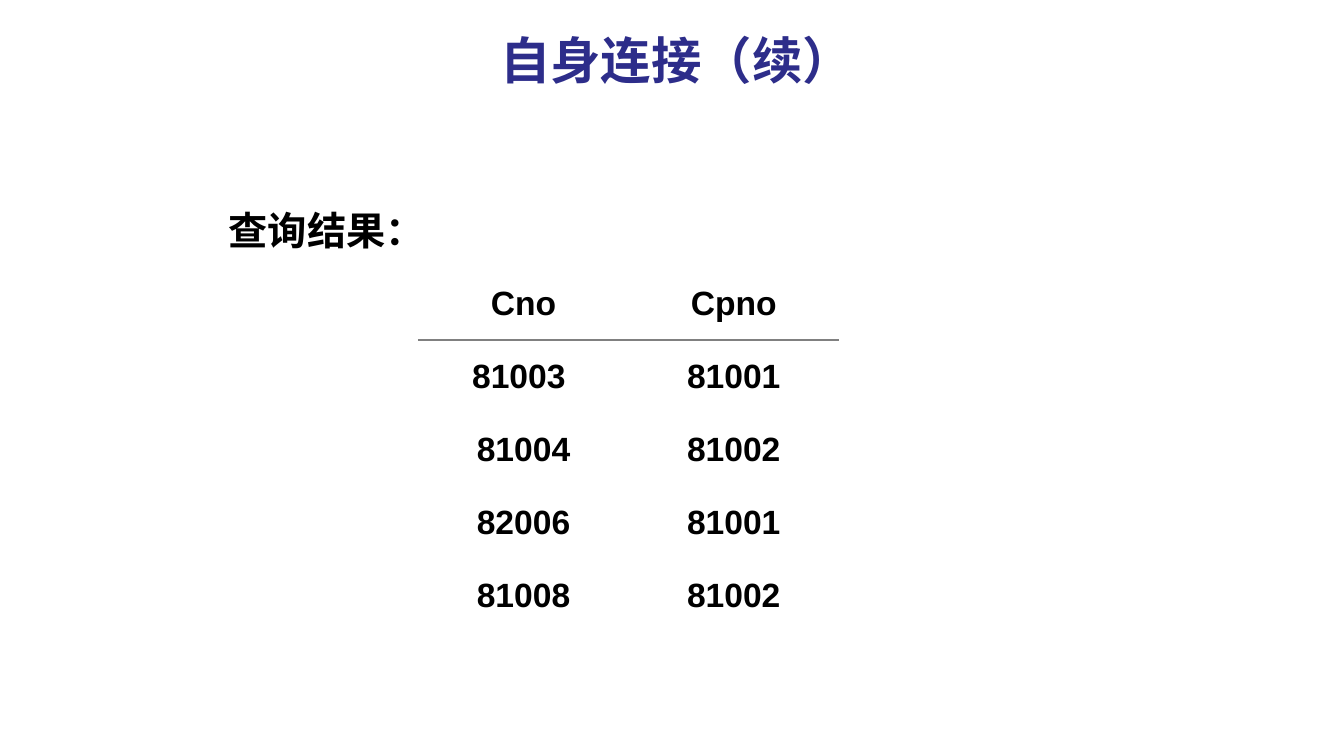
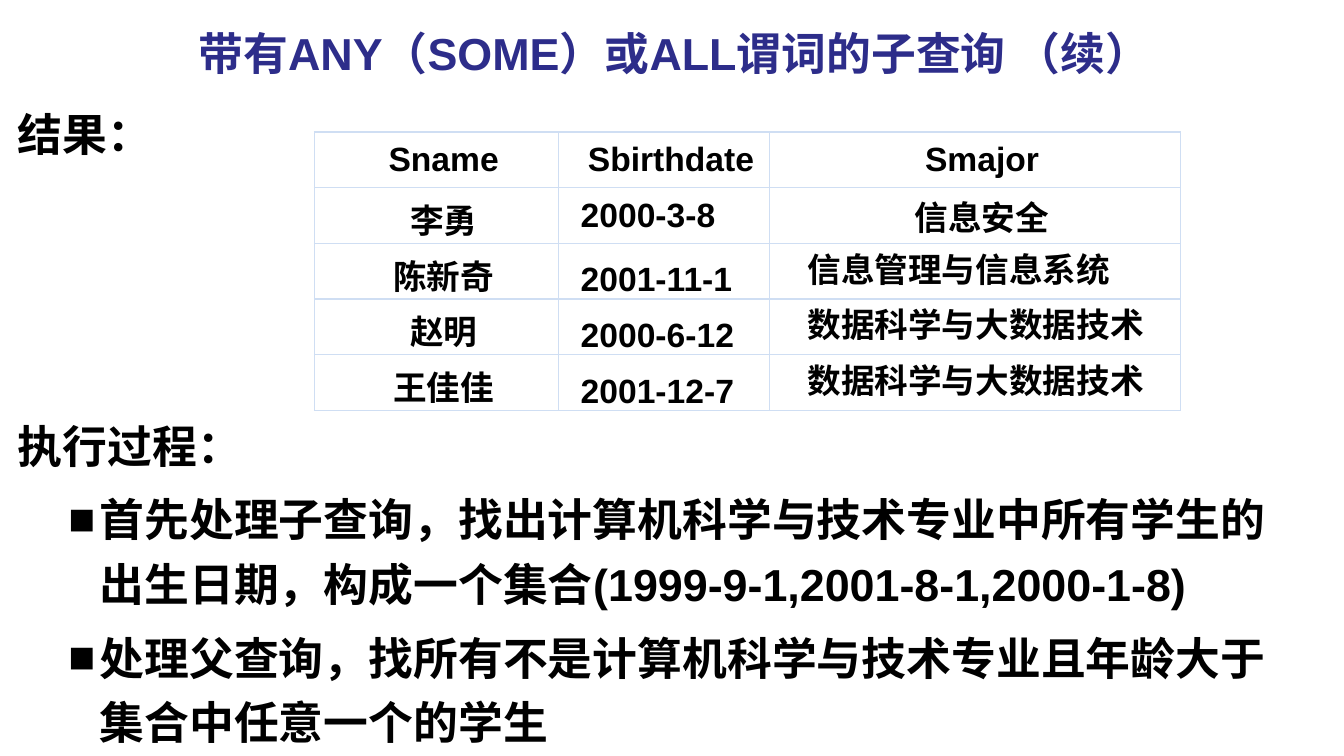
from pptx import Presentation
from pptx import util as u
from pptx.dml.color import RGBColor
from pptx.enum import text
from pptx.oxml import parse_xml
from pptx.oxml.ns import nsdecls

THEME = {
    "font": "Arial",
    "title": "2D2D8A", "body": "000000", "paper": "FFFFFF",
    "rule": "808080", "grid": "CFDEF3",
    "cell_size": 24, "label_size": 28, "body_size": 32,
}
CENTER, LEFT = text.PP_ALIGN.CENTER, text.PP_ALIGN.LEFT
TOP, MIDDLE, BOTTOM = (text.MSO_ANCHOR.TOP, text.MSO_ANCHOR.MIDDLE,
                       text.MSO_ANCHOR.BOTTOM)

SELF_JOIN = {
    "title": ("自身连接（续）", 36, (2.67, 0.28, 8.08, 0.61)),
    "label": "查询结果：",
    "rows": [
        ("Cno", "Cpno"),
        ("81003 ", "81001"),
        ("81004", "81002"),
        ("82006", "81001"),
        ("81008", "81002"),
    ],
}
ANY_ALL = {
    "title": ("带有ANY（SOME）或ALL谓词的子查询 （续）", 32, (1.67, 0.21, 10.04, 0.62)),
    "label": "结果：",
    "rows": [
        ("Sname", "Sbirthdate", "Smajor"),
        ("李勇", "2000-3-8", "信息安全"),
        ("陈新奇", "2001-11-1", "信息管理与信息系统"),
        ("赵明", "2000-6-12", "数据科学与大数据技术"),
        ("王佳佳", "2001-12-7", "数据科学与大数据技术"),
    ],
    "process": "执行过程：",
    "steps": [
        "首先处理子查询，找出计算机科学与技术专业中所有学生的出生日期，构成一个集合(1999-9-1,2001-8-1,2000-1-8)",
        "处理父查询，找所有不是计算机科学与技术专业且年龄大于集合中任意一个的学生",
    ],
}


def style(paragraph, size, color="body", align=LEFT):
    paragraph.alignment = align
    font = paragraph.font
    font.name, font.size, font.bold = THEME["font"], u.Pt(size), True
    font.color.rgb = RGBColor.from_string(THEME[color])


def indent(paragraph, first, left=0):
    props = paragraph._p.get_or_add_pPr()
    props.set("marL", str(u.Inches(left)))
    props.set("indent", str(u.Inches(first)))
    return props


def add_text(slide, box, line, size, color="body", align=LEFT, anchor=TOP):
    area = slide.shapes.add_textbox(*map(u.Inches, box))
    frame = area.text_frame
    frame.word_wrap = True
    frame.vertical_anchor = anchor
    frame.text = line
    style(frame.paragraphs[0], size, color, align)
    return area


def add_body(slide, box, line, size):
    area = add_text(slide, box, line, size)
    area.fill.solid()
    area.fill.fore_color.rgb = RGBColor.from_string(THEME["paper"])
    return area.text_frame


def add_process(frame, line):
    paragraph = frame.add_paragraph()
    paragraph.text = line
    paragraph.space_before = u.Pt(184.4)
    style(paragraph, THEME["body_size"])


def add_step(frame, step):
    paragraph = frame.add_paragraph()
    paragraph.text = step
    paragraph.line_spacing = 1.2
    paragraph.space_before = u.Pt(0.2 * THEME["body_size"])
    props = indent(paragraph, -0.31, 0.81)
    for bullet in (f'buFont {nsdecls("a")} typeface="{THEME["font"]}"',
                   f'buChar {nsdecls("a")} char="■"'):
        props.append(parse_xml(f"<a:{bullet}/>"))
    style(paragraph, THEME["body_size"])


def set_borders(cell, sides, color):
    props = cell._tc.get_or_add_tcPr()
    for position, side in enumerate(sides):
        props.insert(position, parse_xml(
            f'<a:ln{side} {nsdecls("a")} w="{u.Pt(1)}"><a:solidFill>'
            f'<a:srgbClr val="{THEME[color]}"/></a:solidFill></a:ln{side}>'))


def add_table(slide, corner, widths, height, rows, inset, layout, borders):
    size = (sum(widths), height)
    table = slide.shapes.add_table(
        len(rows), len(widths), *map(u.Inches, corner + size)).table
    table.first_row = table.horz_banding = False
    for column, width in zip(table.columns, widths):
        column.width = u.Inches(width)
    for r, row in enumerate(rows):
        table.rows[r].height = u.Inches(height / len(rows))
        for c, value in enumerate(row):
            cell = table.cell(r, c)
            align, anchor, first = layout(r, c)
            cell.text = value
            cell.vertical_anchor = anchor
            cell.margin_left = cell.margin_right = u.Inches(inset)
            cell.margin_top = cell.margin_bottom = 0
            cell.fill.background()
            set_borders(cell, *borders(r))
            paragraph = cell.text_frame.paragraphs[0]
            indent(paragraph, first)
            style(paragraph, THEME["cell_size"], align=align)


def course_layout(r, c):
    return CENTER, MIDDLE, 0


def course_borders(r):
    return {0: "B", 1: "T"}.get(r, ""), "rule"


def student_layout(r, c):
    if r == 0:
        return CENTER, MIDDLE, 0.14
    if c == 0:
        return CENTER, BOTTOM, 0.14
    if c == 1:
        return LEFT, MIDDLE if r == 1 else BOTTOM, 0.14
    return (CENTER, MIDDLE, 0.14) if r == 1 else (LEFT, TOP, 0.3)


def student_borders(r):
    return "LRTB", "grid"


def add_slide(deck, content):
    slide = deck.slides.add_slide(deck.slide_layouts[6])
    title, size, box = content["title"]
    add_text(slide, box, title, size, "title", CENTER, MIDDLE)
    return slide


def main():
    deck = Presentation()
    deck.slide_width, deck.slide_height = u.Inches(13.33), u.Inches(7.5)

    slide = add_slide(deck, SELF_JOIN)
    add_body(slide, (2.17, 2, 2.02, 0.65), SELF_JOIN["label"], THEME["label_size"])
    add_table(slide, (4.15, 2.65), (4.17 / 2, 4.17 / 2), 3.62, SELF_JOIN["rows"],
              0.07, course_layout, course_borders)

    slide = add_slide(deck, ANY_ALL)
    body = add_body(slide, (0.08, 1.01, 12.99, 5.95), ANY_ALL["label"],
                    THEME["body_size"])
    add_process(body, ANY_ALL["process"])
    for step in ANY_ALL["steps"]:
        add_step(body, step)
    add_table(slide, (3.12, 1.31), (2.42, 2.09, 4.08), 2.76, ANY_ALL["rows"],
              0.08, student_layout, student_borders)

    deck.save("out.pptx")


if __name__ == "__main__":
    main()
